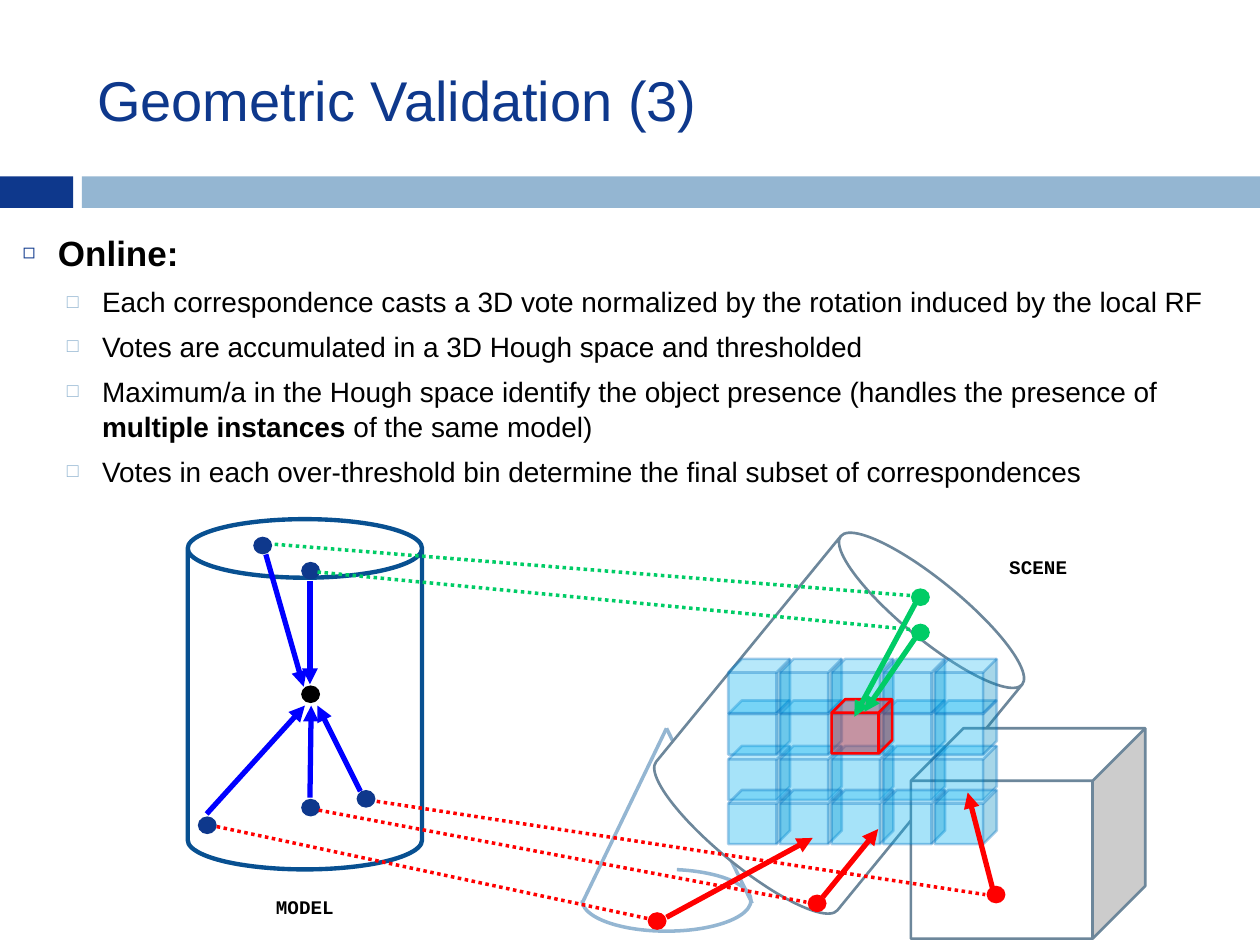
from pptx import Presentation
from pptx import util as u
from pptx.dml.color import RGBColor
from pptx.enum import dml, shapes, text
from pptx.oxml.ns import qn
from lxml import etree

NAVY, SKY, STEEL, BLACK, WHITE = "0E388C", "94B6D2", "6D879B", "000000", "FFFFFF"
RED, GREEN, BLUE = "FF0000", "00CC66", "0000FF"
KIND = shapes.MSO_SHAPE

deck = Presentation()
deck.slide_width, deck.slide_height = u.Inches(10), u.Inches(7.5)
slide = deck.slides.add_slide(deck.slide_layouts[1])
cell = deck.slide_width // 100  # grid of 100 columns by 75 rows


def ink(fill, hue):
    fill.solid()
    fill.fore_color.rgb = RGBColor.from_string(hue)


def draw(kind, box, fill=None, line=None, width=1.5, fade=()):
    """Add a shape at grid box; fade lists the parts ("fill", "line") at 35% opacity."""
    shape = slide.shapes.add_shape(kind, *[int(n * cell) for n in box])
    shape.shadow.inherit = False
    for part, hue in ((shape.fill, fill), (shape.line.fill, line)):
        if hue:
            ink(part, hue)
        else:
            part.background()
    if line:
        shape.line.width = u.Pt(width)
    paths = {"fill": "./a:solidFill/a:srgbClr", "line": "./a:ln/a:solidFill/a:srgbClr"}
    for name in fade:
        for node in shape.element.spPr.xpath(paths[name]):
            etree.SubElement(node, qn("a:alpha"), val="35000")
    return shape


# Title and list
title, body = slide.placeholders
for holder, box in ((title, (6.7, 2.5, 89.2, 10.8)), (body, (-0.4, 17.7, 100.4, 17.5))):
    holder.left, holder.top, holder.width, holder.height = [int(n * cell) for n in box]
    holder.text_frame.auto_size = text.MSO_AUTO_SIZE.NONE
    holder.text_frame.word_wrap = True

title.text_frame.vertical_anchor = text.MSO_ANCHOR.MIDDLE
head = title.text_frame.paragraphs[0]
head.alignment = text.PP_ALIGN.LEFT
run = head.add_run()
run.text = "Geometric Validation (3)"
run.font.name, run.font.size = "Arial", u.Pt(32)
ink(run.font.fill, NAVY)

looks = [
    {"size": 20, "mar": 0.4, "before": 0, "mark": "◻", "hue": NAVY, "share": 60},
    {"size": 16, "mar": 0.75, "before": 5.5, "mark": "□", "hue": SKY, "share": 70},
]
items = [
    (0, [("Online:", True)]),
    (1, [("Each correspondence casts a 3D vote normalized by the rotation induced by the local RF", False)]),
    (1, [("Votes are accumulated in a 3D Hough space and thresholded", False)]),
    (1, [("Maximum/a in the Hough space identify the object presence (handles the presence of ", False),
         ("multiple instances ", True), ("of the same model)", False)]),
    (1, [("Votes in each over-threshold bin determine the final subset of correspondences", False)]),
]
frame = body.text_frame
for i, (level, runs) in enumerate(items):
    para = frame.add_paragraph() if i else frame.paragraphs[0]
    look = looks[level]
    form = {"level": level, "alignment": text.PP_ALIGN.LEFT, "line_spacing": 1.05,
            "space_before": u.Pt(look["before"]), "space_after": u.Pt(0)}
    for key, value in form.items():
        setattr(para, key, value)
    props = para._p.get_or_add_pPr()
    props.set("marL", str(u.Inches(look["mar"])))
    props.set("indent", str(u.Inches(-0.28)))
    tint = etree.SubElement(props, qn("a:buClr"))
    etree.SubElement(tint, qn("a:srgbClr"), val=look["hue"])
    etree.SubElement(props, qn("a:buSzPct"), val=str(look["share"] * 1000))
    etree.SubElement(props, qn("a:buFont"), typeface="Arial")
    etree.SubElement(props, qn("a:buChar"), char=look["mark"])
    for words, bold in runs:
        run = para.add_run()
        run.text = words
        for key, value in {"name": "Arial", "size": u.Pt(look["size"]), "bold": bold}.items():
            setattr(run.font, key, value)
        ink(run.font.fill, BLACK)

# Band under the title
draw(KIND.RECTANGLE, (0, 14, 5.8, 2.5), NAVY)
draw(KIND.RECTANGLE, (6.5, 14, 93.5, 2.5), SKY)

# Lines: start, end, colour, width, style
cone = [((52.9, 57.8), (x, 71.7), SKY, 2, "plain") for x in (46.2, 59.7)]
votes = [((a, b), (c, d), hue, 3, "arrow") for a, b, c, d, hue in (
    (28.6, 62.8, 25.2, 56, BLUE), (24.6, 63.3, 24.7, 56, BLUE), (16.4, 64.6, 24.2, 56, BLUE),
    (24.6, 46.1, 24.6, 54.3, BLUE), (21.1, 44, 24.1, 54.5, BLUE),
    (52.9, 72.8, 64.5, 66.5, RED), (65.3, 71.2, 69.7, 65.8, RED), (78.8, 70.6, 76.8, 62.9, RED),
    (72.7, 47.8, 67.8, 56.9, GREEN), (72.6, 50.7, 68.6, 56.5, GREEN))]
matches = [((a, b), (c, d), hue, 2, "dots") for a, b, c, d, hue in (
    (17.2, 65.6, 51.4, 72.9, RED), (25.3, 64.3, 64, 71.6, RED), (29.9, 63.6, 78.2, 71, RED),
    (25.2, 45.4, 72.7, 50, GREEN), (21.8, 43.2, 72.7, 47.3, GREEN))]
links = []
for start, end, hue, width, style in cone + votes + matches:
    link = slide.shapes.add_connector(
        shapes.MSO_CONNECTOR.STRAIGHT, *[int(n * cell) for n in start + end])
    ink(link.line.fill, hue)
    link.line.width = u.Pt(width)
    if style == "dots":
        link.line.dash_style = dml.MSO_LINE.ROUND_DOT
    if style == "arrow":
        etree.SubElement(link.line._get_or_add_ln(), qn("a:tailEnd"), type="triangle")
    etree.SubElement(link.element.spPr, qn("a:effectLst"))
    links.append(link)

# Solids of the scene and the model
arc = draw(KIND.ARC, (46.2, 69, 13.4, 4.9), line=SKY, width=2)
arc.rotation = 180
arc.adjustments[0], arc.adjustments[1] = 65.23, 0
draw(KIND.CAN, (57.3, 43.5, 18.6, 27.8), WHITE, STEEL).rotation = 39.3
draw(KIND.CAN, (14.9, 41.2, 18.6, 27.8), line="085091", width=2.5)
draw(KIND.CUBE, (72.3, 57.8, 18.6, 16.7), WHITE, STEEL)

for word, x, y in (("MODEL", 19.8, 70.6), ("SCENE", 78, 43.6)):
    label = draw(KIND.RECTANGLE, (x, y, 8.8, 2.3), WHITE)
    label.text_frame.vertical_anchor = text.MSO_ANCHOR.TOP
    para = label.text_frame.paragraphs[0]
    para.alignment, para.space_after = text.PP_ALIGN.CENTER, u.Pt(10)
    run = para.add_run()
    run.text = word
    for key, value in {"name": "Courier New", "size": u.Pt(11), "bold": True}.items():
        setattr(run.font, key, value)
    ink(run.font.fill, BLACK)

# Hough space: rows from back to front
for y in (59.2, 55.6, 62.7, 52.3):
    for col in range(5):
        draw(KIND.CUBE, (57.8 + 4.1 * col, y, 4.9, 4.3), "00B0F0", "0070C0", fade=("fill", "line"))

dots = {
    NAVY: [(28.3, 62.7), (20.1, 42.6), (15.7, 64.8), (23.9, 63.4), (23.9, 44.6)],
    BLACK: [(23.9, 54.4)],
    RED: [(51.4, 72.4), (64.1, 71), (78.3, 70.3)],
    GREEN: [(72.3, 46.7), (72.3, 49.5)],
}
for hue, spots in dots.items():
    for x, y in spots:
        draw(KIND.OVAL, (x, y, 1.5, 1.4), hue)
draw(KIND.CUBE, (66, 55.5, 4.8, 4.3), RED, RED, fade=("fill",))

# Votes and matches lie in front of the solids
for link in links[len(cone):]:
    slide.shapes.element.append(link.element)

deck.save("out.pptx")
